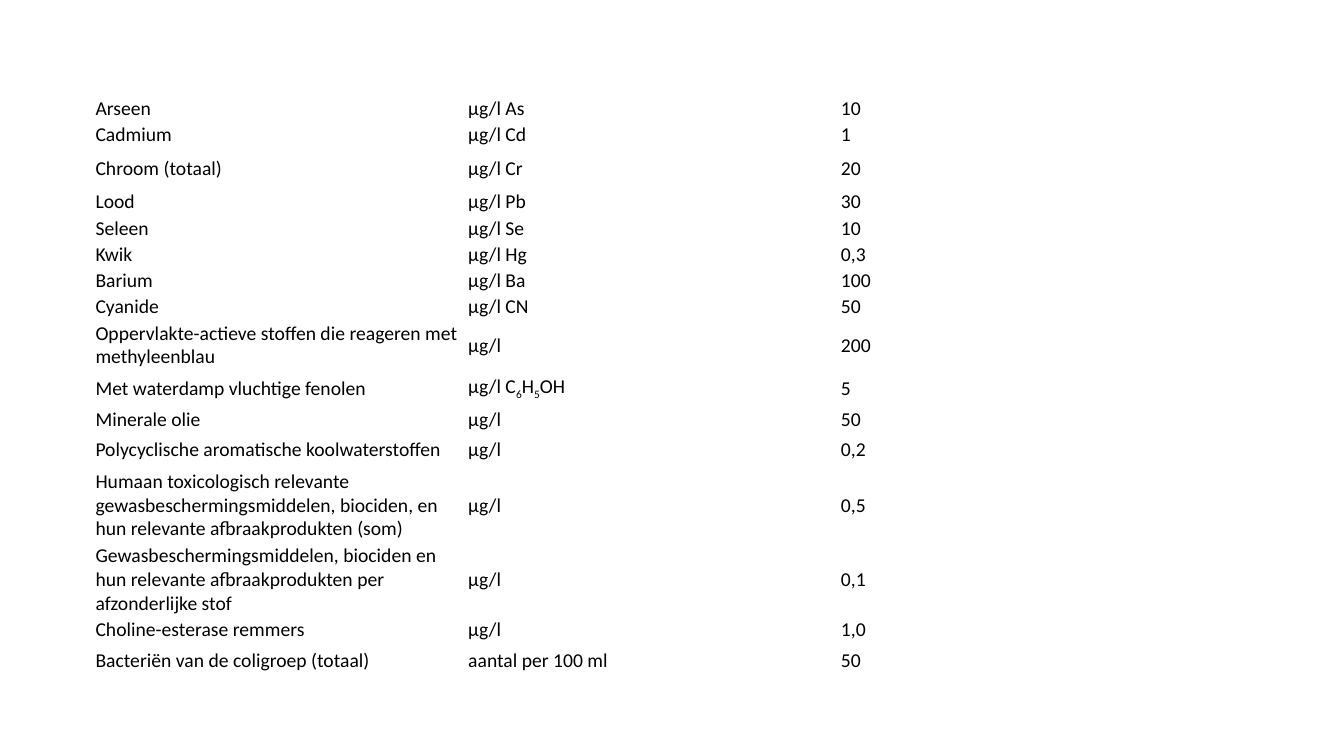
from pptx import Presentation
from pptx.dml.color import RGBColor
from pptx.enum.text import MSO_ANCHOR
from pptx.util import Pt

PX = 9525  # EMU per px, 96 px to the inch
MIDDLE = MSO_ANCHOR.MIDDLE
COLUMN_WIDTH = 355
SINGLE, PADDED, TALL, DOUBLE, TRIPLE = 25, 34, 39, 48, 71

# Row height, substance, unit, limit; text between two bars is subscript
LIMITS = [
    (SINGLE, "Arseen", "μg/l As", "10"),
    (SINGLE, "Cadmium", "μg/l Cd", "1"),
    (TALL, "Chroom (totaal)", "μg/l Cr", "20"),
    (SINGLE, "Lood", "μg/l Pb", "30"),
    (SINGLE, "Seleen", "μg/l Se", "10"),
    (SINGLE, "Kwik", "μg/l Hg", "0,3"),
    (SINGLE, "Barium", "μg/l Ba", "100"),
    (SINGLE, "Cyanide", "μg/l CN", "50"),
    (DOUBLE, "Oppervlakte-actieve stoffen die reageren met methyleenblau", "μg/l", "200"),
    (PADDED, "Met waterdamp vluchtige fenolen", "μg/l C|6|H|5|OH", "5"),
    (SINGLE, "Minerale olie", "μg/l", "50"),
    (PADDED, "Polycyclische aromatische koolwaterstoffen", "μg/l", "0,2"),
    (TRIPLE, "Humaan toxicologisch relevante gewasbeschermingsmiddelen, biociden, "
             "en hun relevante afbraakprodukten (som)", "μg/l", "0,5"),
    (TRIPLE, "Gewasbeschermingsmiddelen, biociden en hun relevante "
             "afbraakprodukten per afzonderlijke stof", "μg/l", "0,1"),
    (SINGLE, "Choline-esterase remmers", "μg/l", "1,0"),
    (PADDED, "Bacteriën van de coligroep (totaal)", "aantal per 100 ml", "50"),
]


def color(hex_string):
    return RGBColor.from_string(hex_string)


def fill_cell(cell, text):
    cell.fill.background()
    cell.vertical_anchor = MIDDLE
    cell.margin_left = cell.margin_right = 3 * PX
    cell.margin_top = cell.margin_bottom = PX
    para = cell.text_frame.paragraphs[0]
    para.font.name = "Calibri"
    para.font.size = Pt(14)
    para.font.color.rgb = color("000000")
    for index, piece in enumerate(text.split("|")):
        span = para.add_run()
        span.text = piece
        if index % 2:
            span.font._element.set("baseline", "-25000")


deck = Presentation()
deck.slide_width = 1280 * PX
deck.slide_height = 720 * PX
page = deck.slides.add_slide(deck.slide_layouts[6])

total_height = sum(limit[0] for limit in LIMITS)
table = page.shapes.add_table(
    len(LIMITS), 3, 88 * PX, 91 * PX, 3 * COLUMN_WIDTH * PX, total_height * PX
).table
table.first_row = False
table.horz_banding = False

for row, (height, *texts) in zip(table.rows, LIMITS):
    row.height = height * PX
    for cell, text in zip(row.cells, texts):
        fill_cell(cell, text)

deck.save("out.pptx")
